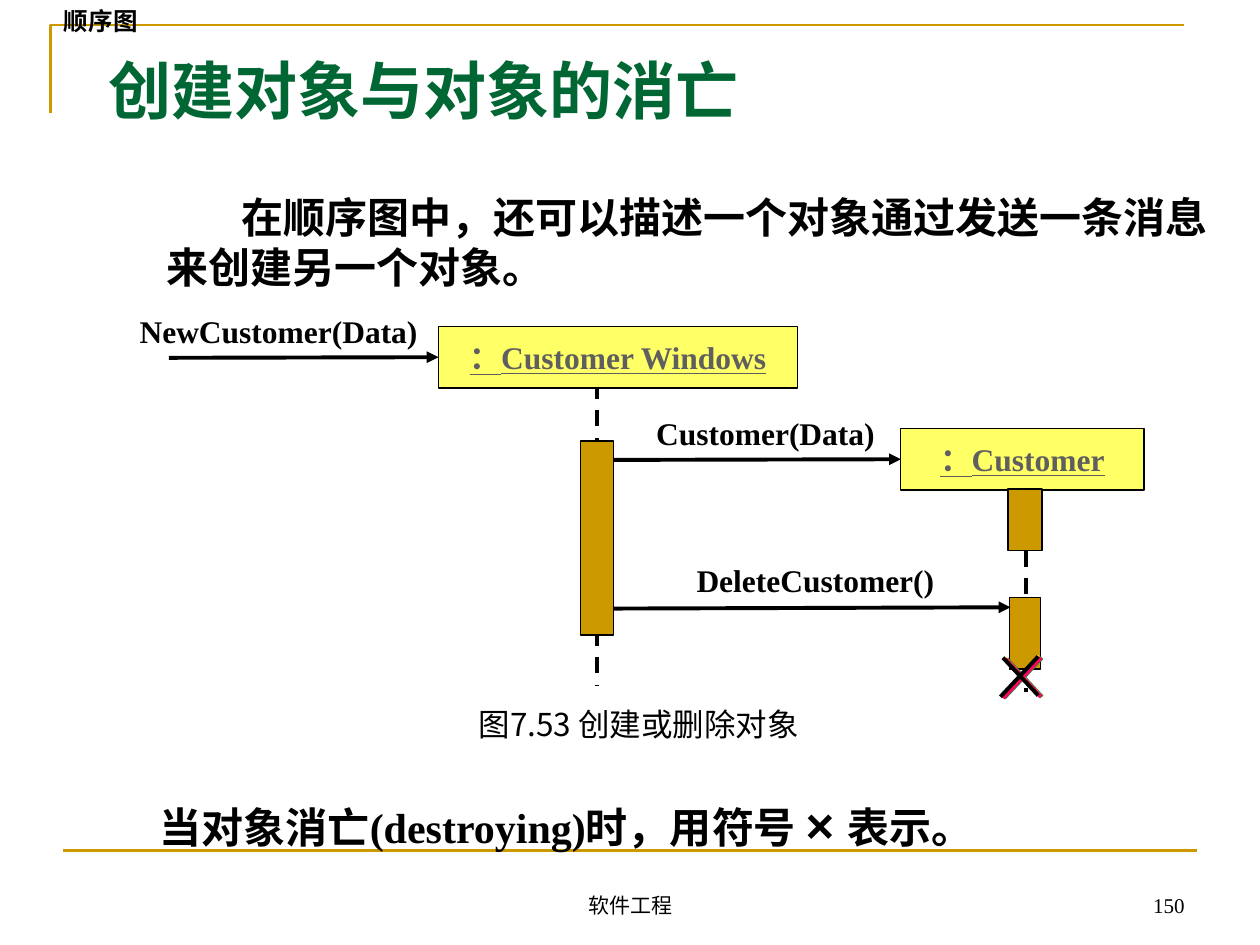
from lxml import etree
from pptx import Presentation
from pptx import util as u
from pptx.dml.color import RGBColor
from pptx.enum import dml, shapes, text
from pptx.oxml.ns import qn

# Grid of 100 columns by 75 rows
WIDE, HIGH = u.Inches(10), u.Inches(7.5)
CELL = WIDE // 100

HUE = {"gold": "CC9900", "green": "006633", "black": "000000",
       "yellow": "FFFF66", "grey": "5F5F5F", "orange": "F84E12",
       "moss": "3B812F", "pink": "FF0066"}
ROMAN, SANS, ARIAL = "Times New Roman", "Noto Sans CJK SC", "Arial"
LEFT, MID, RIGHT = text.PP_ALIGN.LEFT, text.PP_ALIGN.CENTER, text.PP_ALIGN.RIGHT
TOP, CENTER, BASE = (text.MSO_ANCHOR.TOP, text.MSO_ANCHOR.MIDDLE,
                     text.MSO_ANCHOR.BOTTOM)


def grid(*cells):
    return [u.Emu(round(c * CELL)) for c in cells]


def color(name):
    return RGBColor.from_string(HUE[name])


def style(run, size, face=ROMAN, hue="black", bold=True, under=None):
    font = run.font
    font.size, font.name, font.bold = u.Pt(size), face, bold
    font.underline = under
    font.color.rgb = color(hue)
    east = etree.SubElement(run._r.get_or_add_rPr(), qn("a:ea"))
    east.set("typeface", SANS)


def write(frame, words, size, align=LEFT, anchor=TOP, wrap=True, **look):
    frame.text = words
    frame.word_wrap, frame.vertical_anchor = wrap, anchor
    para = frame.paragraphs[0]
    para.alignment = align
    style(para.runs[0], size, **look)
    return para


def label(slide, box, words, size, indent=0, **look):
    frame = slide.shapes.add_textbox(*grid(*box)).text_frame
    para = write(frame, words, size, **look)
    if indent:
        para._p.get_or_add_pPr().set("indent", str(grid(indent)[0]))
    return para


def block(slide, box, fill, words=None):
    rect = slide.shapes.add_shape(shapes.MSO_SHAPE.RECTANGLE, *grid(*box))
    rect.shadow.inherit = False
    rect.fill.solid()
    rect.fill.fore_color.rgb = color(fill)
    rect.line.color.rgb = color("black")
    rect.line.width = u.Pt(0.75)
    if words:
        write(rect.text_frame, words, 18, MID, CENTER, False,
              hue="grey", under=True)
    return rect


def line(slide, ends, hue="black", width=2.25, dash=False, arrow=False):
    link = slide.shapes.add_connector(shapes.MSO_CONNECTOR.STRAIGHT,
                                      *grid(*ends))
    link.line.color.rgb = color(hue)
    link.line.width = u.Pt(width)
    if dash:
        link.line.dash_style = dml.MSO_LINE.DASH
    if arrow:
        tip = etree.SubElement(link.line._get_or_add_ln(), qn("a:tailEnd"))
        tip.set("type", "triangle")
    etree.SubElement(link._element.spPr, qn("a:effectLst"))
    return link


def bend(slide, start, *rest):
    build = slide.shapes.build_freeform(*start, scale=CELL)
    build.add_line_segments(rest, close=False)
    shape = build.convert_to_shape()
    shape.shadow.inherit = False
    shape.fill.background()
    shape.line.color.rgb = color("gold")
    shape.line.width = u.Pt(1.5)


def cross(slide, hue, dx, dy):
    for x, y, x2, y2 in ((82.4, 52.1, 79.4, 53.1 + 2.2), (79.6, 52.2, 82.4, 55.2)):
        line(slide, (x + dx, y + dy, x2 + dx, y2 + dy), hue)


def diagram(slide):
    # Lifelines
    line(slide, (47.4, 30.4, 47.4, 54.4), dash=True)
    line(slide, (81.4, 37.2, 81.4, 54.9), dash=True)

    # Objects and activation bars
    window = block(slide, (34.8, 25.9, 28.5, 4.9), "yellow",
                   "：Customer Windows")
    client = block(slide, (71.5, 34, 19.3, 4.9), "yellow", "：Customer")
    for bar in ((46.1, 35, 2.6, 15.4), (80, 38.8, 2.7, 4.9),
                (80.1, 47.4, 2.5, 5.7)):
        block(slide, bar, "gold")

    # Messages
    line(slide, (13.4, 28.4, 34.8, 28.4), arrow=True).end_connect(window, 1)
    line(slide, (48.7, 36.5, 71.5, 36.5), arrow=True).end_connect(client, 1)
    line(slide, (48.7, 48.3, 80.2, 48.2), arrow=True)
    for x, y, words in ((10.1, 24.3, "NewCustomer(Data)"),
                        (51.1, 32.4, "Customer(Data)"),
                        (54.3, 44, "DeleteCustomer()")):
        label(slide, (x, y, 28, 4), words, 18)

    # Destruction mark, coloured layers under black
    for hue, dx, dy in (("moss", 0.3, 0.1), ("yellow", 0.1, 0),
                        ("pink", 0.2, 0.1), ("black", 0, 0)):
        cross(slide, hue, dx, dy)


def main():
    deck = Presentation()
    deck.slide_width, deck.slide_height = WIDE, HIGH
    slide = deck.slides.add_slide(deck.slide_layouts[5])

    # Frame lines
    bend(slide, (4.2, 9.2), (4.2, 2.5), (94.2, 2.5))
    line(slide, (5, 67.5, 95, 67.5), "gold", 1.5)

    # Title
    title = slide.shapes.title
    title.left, title.top, title.width, title.height = grid(7.6, 3.8, 85, 6.6)
    write(title.text_frame, "创建对象与对象的消亡", 36, anchor=CENTER,
          hue="green")

    # Explanations
    label(slide, (12.2, 14.7, 87.8, 9),
          "在顺序图中，还可以描述一个对象通过发送一条消息来创建另一个对象。",
          24, indent=6)
    para = label(slide, (8.5, 62.6, 84.4, 5.7),
                 "当对象消亡(destroying)时，用符号 ", 24, indent=3.2)
    for words, size, face in (("× ", 28, ARIAL), ("表示。", 24, ROMAN)):
        run = para.add_run()
        run.text = words
        style(run, size, face)

    diagram(slide)

    # Section name, caption and footer
    label(slide, (4.1, 0, 15, 3.3), "顺序图", 14, anchor=CENTER, face=SANS)
    label(slide, (36, 54.3, 29.4, 6.3), "图7.53 创建或删除对象", 18,
          align=MID, anchor=CENTER, face=SANS, bold=False)
    label(slide, (34.2, 68.3, 31.7, 5), "软件工程", 12,
          align=MID, anchor=BASE, bold=False)
    label(slide, (71.7, 68.3, 23.3, 5), "150", 12,
          align=RIGHT, anchor=BASE, bold=False)

    deck.save("out.pptx")


if __name__ == "__main__":
    main()
